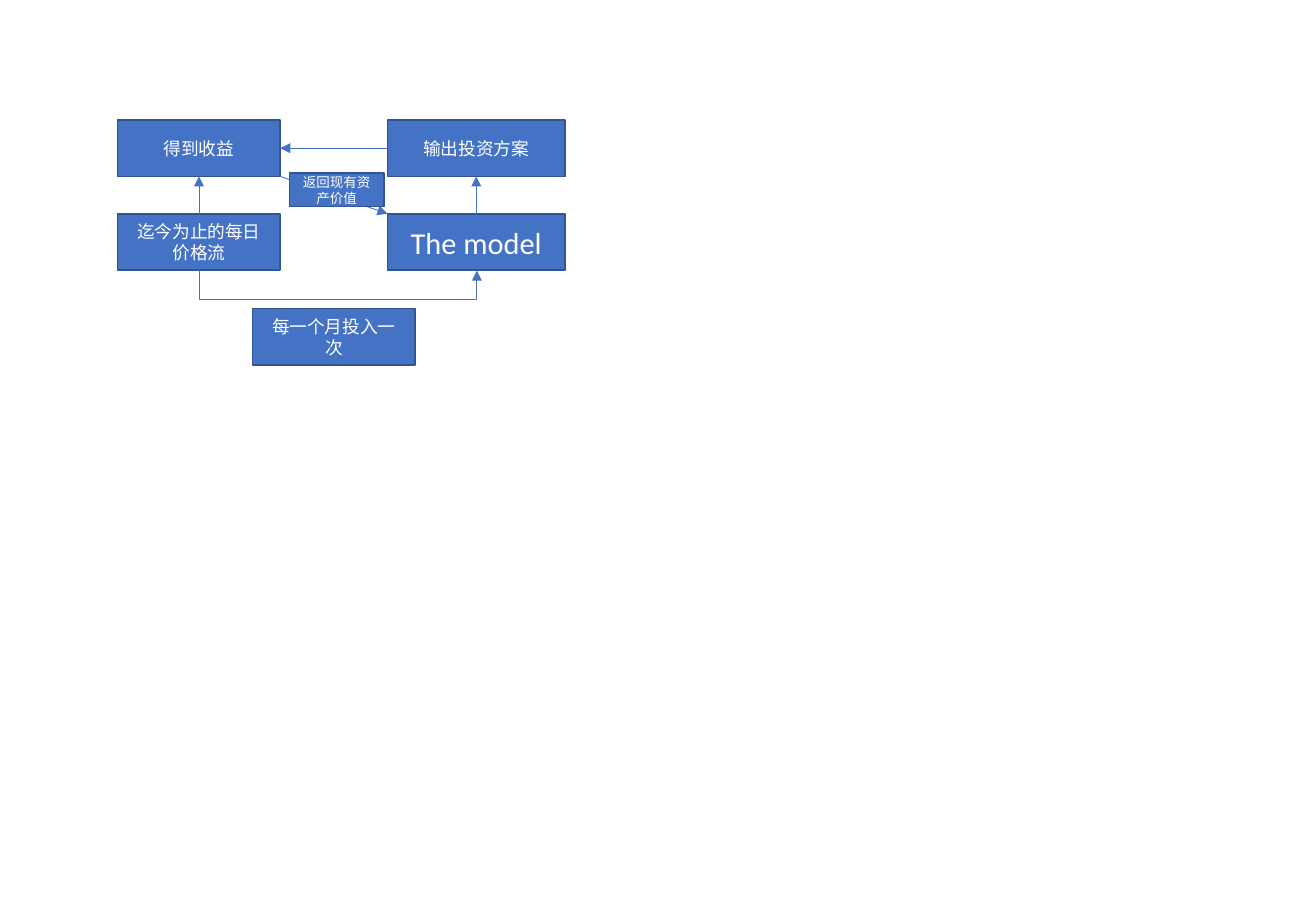
"""Build a slide with the monthly investment loop around the model."""
from lxml.etree import SubElement
from pptx import Presentation
from pptx.dml.color import RGBColor
from pptx.enum.shapes import MSO_CONNECTOR, MSO_SHAPE
from pptx.enum.text import MSO_ANCHOR, PP_ALIGN
from pptx.oxml.ns import qn
from pptx.util import Cm, Pt

HUES = {"fill": "4472C4", "edge": "325491", "text": "FFFFFF"}
LEFT, RIGHT = 2.46, 8.1
TOP, LOW = 2.51, 4.47
SLIM, WIDE, TALL = 3.4, 3.71, 1.18

deck = Presentation()
deck.slide_width, deck.slide_height = Cm(27.51), Cm(19.05)
slide = deck.slides.add_slide(deck.slide_layouts[6])


def add_box(words, x, y, width, height, size):
    box = slide.shapes.add_shape(
        MSO_SHAPE.RECTANGLE, Cm(x), Cm(y), Cm(width), Cm(height))
    box.shadow.inherit = False
    box.fill.solid()
    box.fill.fore_color.rgb = RGBColor.from_string(HUES["fill"])
    box.line.color.rgb = RGBColor.from_string(HUES["edge"])
    box.line.width = Pt(1)
    frame = box.text_frame
    frame.word_wrap = True
    frame.margin_top = frame.margin_bottom = Cm(0)
    frame.vertical_anchor = MSO_ANCHOR.MIDDLE
    para = frame.paragraphs[0]
    para.alignment = PP_ALIGN.CENTER
    run = para.add_run()
    run.text = words
    run.font.name = "Calibri"
    run.font.size = Pt(size)
    run.font.color.rgb = RGBColor.from_string(HUES["text"])


def add_arrow(kind, *ends):
    arrow = slide.shapes.add_connector(kind, *[Cm(end) for end in ends])
    arrow.line.color.rgb = RGBColor.from_string(HUES["fill"])
    arrow.line.width = Pt(0.5)
    props = arrow._element.spPr
    SubElement(props.find(qn("a:ln")), qn("a:tailEnd"), type="triangle")
    SubElement(props, qn("a:effectLst"))
    return props


for words, x, y, width, size in [
    ("The model", RIGHT, LOW, WIDE, 18),
    ("迄今为止的每日价格流", LEFT, LOW, SLIM, 10.5),
    ("每一个月投入一次", 5.28, 6.45, SLIM, 10.5),
    ("输出投资方案", RIGHT, TOP, WIDE, 10.5),
    ("得到收益", LEFT, TOP, SLIM, 10.5),
]:
    add_box(words, x, y, width, TALL, size)

edge = LEFT + SLIM
base = TOP + TALL
mid = TOP + TALL / 2
for ends in [
    (RIGHT + WIDE / 2, LOW, RIGHT + WIDE / 2, base),
    (RIGHT, mid, edge, mid),
    (LEFT + SLIM / 2, LOW, LEFT + SLIM / 2, base),
    (edge, base, RIGHT, LOW),
]:
    add_arrow(MSO_CONNECTOR.STRAIGHT, *ends)

bend = add_arrow(MSO_CONNECTOR.ELBOW, 7.08, 2.75, 7.06, 8.55)
bend.find(qn("a:xfrm")).set("rot", "16200000")
shape = bend.find(qn("a:prstGeom"))
guides = shape.find(qn("a:avLst"))
if guides is None:
    guides = SubElement(shape, qn("a:avLst"))
SubElement(guides, qn("a:gd"), name="adj1", fmla="val 3150000")

add_box("返回现有资产价值", 6.05, 3.62, 1.98, 0.7, 8)

deck.save("out.pptx")
